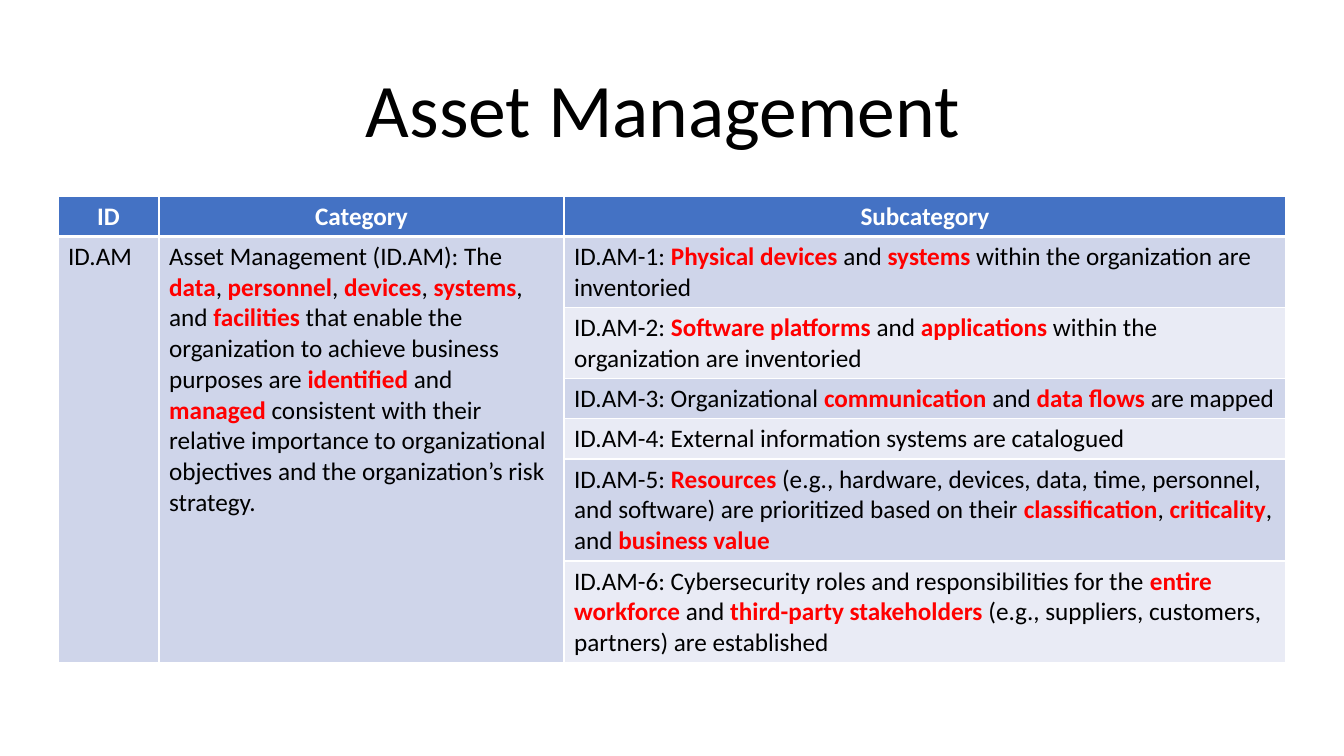
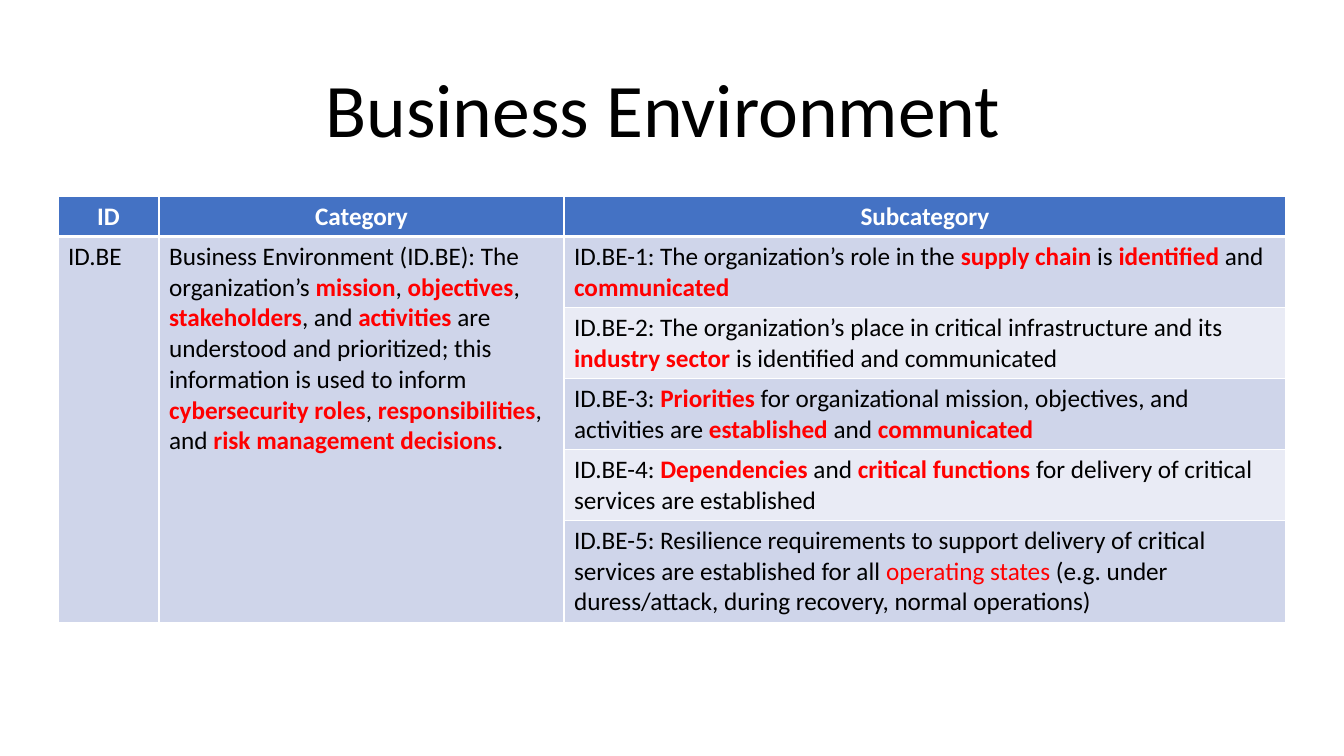
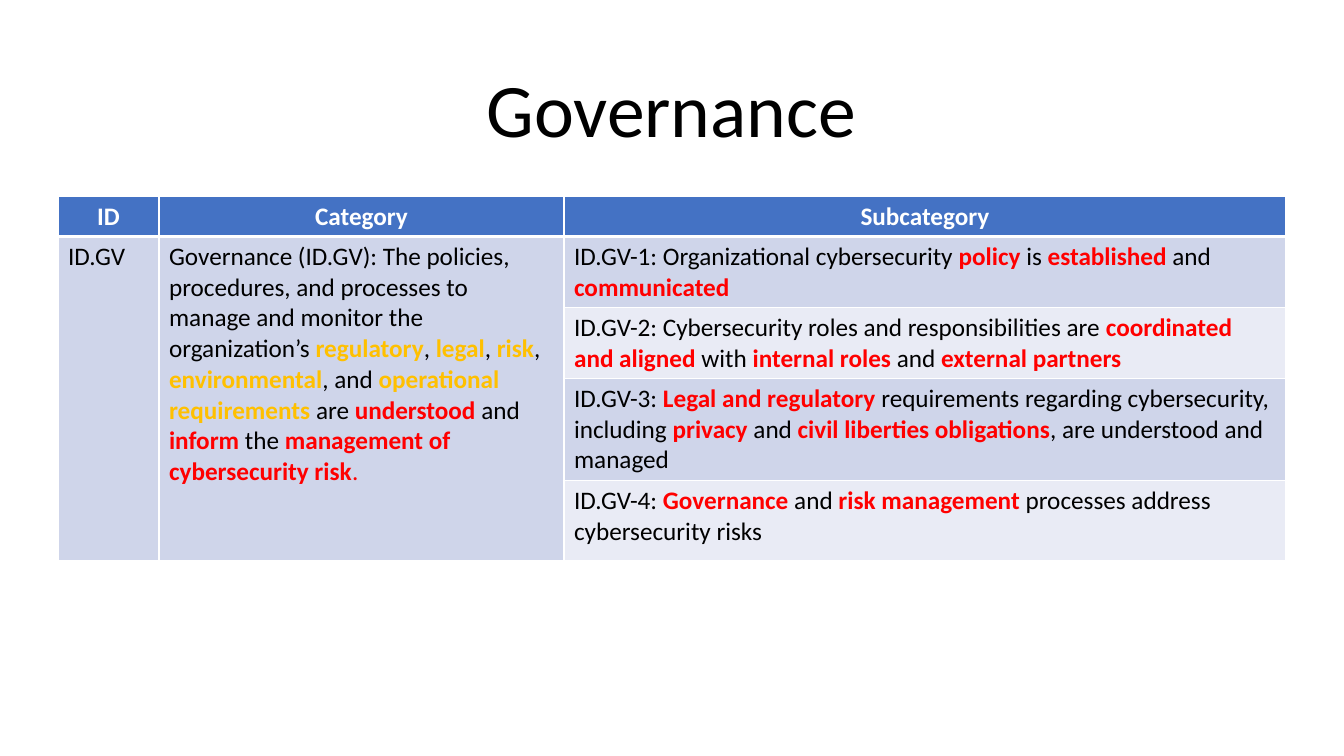
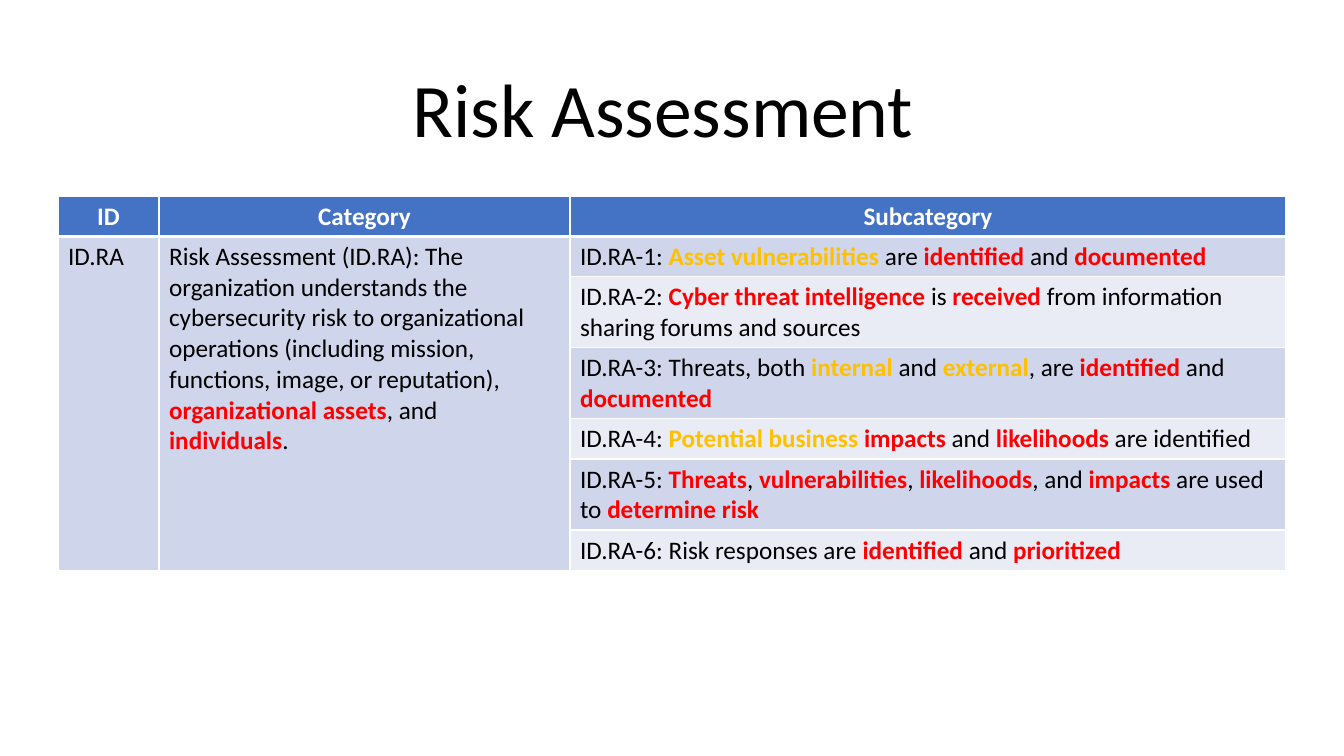
from itertools import groupby

from pptx import Presentation
from pptx.dml.color import RGBColor
from pptx.enum.text import MSO_ANCHOR, PP_ALIGN
from pptx.oxml import parse_xml
from pptx.oxml.ns import nsdecls
from pptx.util import Pt

SLIDE_W, SLIDE_H = 1344, 756
EMU_PER_PX = 12192000 / SLIDE_W

BLACK = RGBColor(0x00, 0x00, 0x00)
WHITE = RGBColor(0xFF, 0xFF, 0xFF)
RED = RGBColor(0xFF, 0x00, 0x00)
AMBER = RGBColor(0xFF, 0xC0, 0x00)
HEADER_BLUE = RGBColor(0x44, 0x72, 0xC4)
BAND_DARK = RGBColor(0xCF, 0xD5, 0xEA)
BAND_LIGHT = RGBColor(0xE9, 0xEB, 0xF5)

FONT = "Calibri"
TITLE_SIZE, TABLE_SIZE = 54, 18
TITLE_BOX = (92, 40, 1159, 146)
TABLE_LEFT, TABLE_TOP = 58, 196
COLUMNS = (101, 405, 722)
HEADINGS = ("ID", "Category", "Subcategory")
HEADER_H, LINE_H, ROW_PADDING = 40, 31, 9
THIN, THICK = 1, 3

# Marked words: *bold red*, ^bold amber^, ~plain red~
MARKS = {"*": (RED, True), "^": (AMBER, True), "~": (RED, False)}

# Subcategories are (number of lines, text)
CATEGORIES = [
    {
        "title": "Asset Management ",
        "id": "ID.AM",
        "category": "Asset Management (ID.AM): The *data*, *personnel*, *devices*, "
                    "*systems*, and *facilities* that enable the organization to "
                    "achieve business purposes are *identified* and *managed* "
                    "consistent with their relative importance to organizational "
                    "objectives and the organization’s risk strategy.",
        "subcategories": [
            (2, "ID.AM-1: *Physical devices* and *systems* within the organization "
                "are inventoried"),
            (2, "ID.AM-2: *Software platforms *and *applications* within the "
                "organization are inventoried"),
            (1, "ID.AM-3: Organizational *communication* and *data flows *are mapped"),
            (1, "ID.AM-4: External information systems are catalogued"),
            (3, "ID.AM-5: *Resources* (e.g., hardware, devices, data, time, personnel, "
                "and software) are prioritized based on their *classification*, "
                "*criticality*, and *business value*"),
            (3, "ID.AM-6: Cybersecurity roles and responsibilities for the *entire "
                "workforce* and *third-party stakeholders *(e.g., suppliers, "
                "customers, partners) are established"),
        ],
    },
    {
        "title": "Business Environment ",
        "id": "ID.BE",
        "category": "Business Environment (ID.BE): The organization’s *mission*, "
                    "*objectives*, *stakeholders*, and *activities* are understood "
                    "and prioritized; this information is used to inform "
                    "*cybersecurity roles*, *responsibilities*, and *risk management "
                    "decisions*.",
        "subcategories": [
            (2, "ID.BE-1: The organization’s role in the *supply chain* is "
                "*identified* and *communicated*"),
            (2, "ID.BE-2: The organization’s place in critical infrastructure and its "
                "*industry sector *is identified and communicated"),
            (2, "ID.BE-3: *Priorities* for organizational mission, objectives, and "
                "activities are *established* and *communicated*"),
            (2, "ID.BE-4: *Dependencies* and *critical functions *for delivery of "
                "critical services are established"),
            (3, "ID.BE-5: Resilience requirements to support delivery of critical "
                "services are established for all ~operating states~ (e.g. under "
                "duress/attack, during recovery, normal operations)"),
        ],
    },
    {
        "title": "Governance",
        "id": "ID.GV",
        "category": "Governance (ID.GV): The policies, procedures, and processes to "
                    "manage and monitor the organization’s ^regulatory^, ^legal^, "
                    "^risk^, ^environmental^, and ^operational requirements^ are "
                    "*understood* and *inform* the *management of cybersecurity "
                    "risk*~.~",
        "subcategories": [
            (2, "ID.GV-1: Organizational cybersecurity *policy* is *established* and "
                "*communicated*"),
            (2, "ID.GV-2: Cybersecurity roles and responsibilities are *coordinated "
                "and aligned *with *internal roles *and *external partners*"),
            (3, "ID.GV-3: *Legal and regulatory *requirements regarding cybersecurity, "
                "including *privacy *and *civil liberties obligations*, are understood "
                "and managed"),
            (2.3, "ID.GV-4: *Governance* and *risk management* processes address "
                  "cybersecurity risks"),
        ],
    },
    {
        "title": "Risk Assessment ",
        "id": "ID.RA",
        "columns": (101, 411, 716),
        "category": "Risk Assessment (ID.RA): The organization understands the "
                    "cybersecurity risk to organizational operations (including "
                    "mission, functions, image, or reputation), *organizational "
                    "assets*, and *individuals*.",
        "subcategories": [
            (1, "ID.RA-1: ^Asset vulnerabilities ^are *identified* and *documented*"),
            (2, "ID.RA-2: *Cyber threat intelligence *is *received* from information "
                "sharing forums and sources"),
            (2, "ID.RA-3: Threats, both ^internal ^and^ external^, are *identified* "
                "and *documented*"),
            (1, "ID.RA-4: ^Potential business ^*impacts* and *likelihoods* are "
                "identified"),
            (2, "ID.RA-5: *Threats*, *vulnerabilities*, *likelihoods*, and* impacts "
                "*are used to *determine risk*"),
            (1, "ID.RA-6: Risk responses are *identified* and *prioritized*"),
        ],
    },
]


def px(length):
    return round(length * EMU_PER_PX)


def add_run(paragraph, text, size, color, bold=False):
    run = paragraph.add_run()
    run.text = text
    run.font.name = FONT
    run.font.size = Pt(size)
    run.font.bold = bold
    run.font.color.rgb = color


def split_marks(text):
    """Yield (words, mark) for each stretch of marked text; mark is "" for plain."""
    mark = ""
    for is_mark, chars in groupby(text, key=lambda char: char in MARKS):
        if not is_mark:
            yield "".join(chars), mark
            continue
        for char in chars:
            mark = "" if mark == char else char


def write_marked(cell, text):
    paragraph = cell.text_frame.paragraphs[0]
    for words, mark in split_marks(text):
        color, bold = MARKS.get(mark, (BLACK, False))
        add_run(paragraph, words, TABLE_SIZE, color, bold)


def paint_cell(cell, fill, top=THIN, bottom=THIN):
    """Give the cell white borders, in points, and a solid fill."""
    properties = cell._tc.get_or_add_tcPr()
    for side, width in (("L", THIN), ("R", THIN), ("T", top), ("B", bottom)):
        properties.append(parse_xml(
            f'<a:ln{side} {nsdecls("a")} w="{Pt(width)}"><a:solidFill>'
            f'<a:srgbClr val="{WHITE}"/></a:solidFill></a:ln{side}>'))
    cell.fill.solid()
    cell.fill.fore_color.rgb = fill


def add_title(slide, text, box):
    frame = slide.shapes.add_textbox(*map(px, box)).text_frame
    frame.word_wrap = True
    frame.vertical_anchor = MSO_ANCHOR.MIDDLE
    paragraph = frame.paragraphs[0]
    paragraph.alignment = PP_ALIGN.CENTER
    paragraph.line_spacing = 0.9
    add_run(paragraph, text, TITLE_SIZE, BLACK)


def fill_header(table):
    for cell, heading in zip(table.rows[0].cells, HEADINGS):
        paint_cell(cell, HEADER_BLUE, bottom=THICK)
        paragraph = cell.text_frame.paragraphs[0]
        paragraph.alignment = PP_ALIGN.CENTER
        add_run(paragraph, heading, TABLE_SIZE, WHITE, bold=True)


def add_category_table(slide, content, left, top):
    subcategories = content["subcategories"]
    columns = content.get("columns", COLUMNS)
    heights = [HEADER_H] + [round(LINE_H * lines + ROW_PADDING)
                            for lines, _ in subcategories]
    table = slide.shapes.add_table(
        len(heights), len(columns),
        *map(px, (left, top, sum(columns), sum(heights)))).table
    table.horz_banding = False
    for column, width in zip(table.columns, columns):
        column.width = px(width)
    for row, height in zip(table.rows, heights):
        row.height = px(height)

    fill_header(table)
    for index, (_, text) in enumerate(subcategories, start=1):
        band = BAND_DARK if index % 2 else BAND_LIGHT
        for cell, fill in zip(table.rows[index].cells, (BAND_DARK, BAND_DARK, band)):
            paint_cell(cell, fill, top=THICK if index == 1 else THIN)
        write_marked(table.cell(index, 2), text)
    for column, part in enumerate(("id", "category")):
        table.cell(1, column).merge(table.cell(len(subcategories), column))
        write_marked(table.cell(1, column), content[part])


def add_category_slide(deck, content):
    slide = deck.slides.add_slide(deck.slide_layouts[6])
    add_title(slide, content["title"], TITLE_BOX)
    add_category_table(slide, content, TABLE_LEFT, TABLE_TOP)


def main():
    deck = Presentation()
    deck.slide_width, deck.slide_height = px(SLIDE_W), px(SLIDE_H)
    for content in CATEGORIES:
        add_category_slide(deck, content)
    deck.save("out.pptx")


if __name__ == "__main__":
    main()
